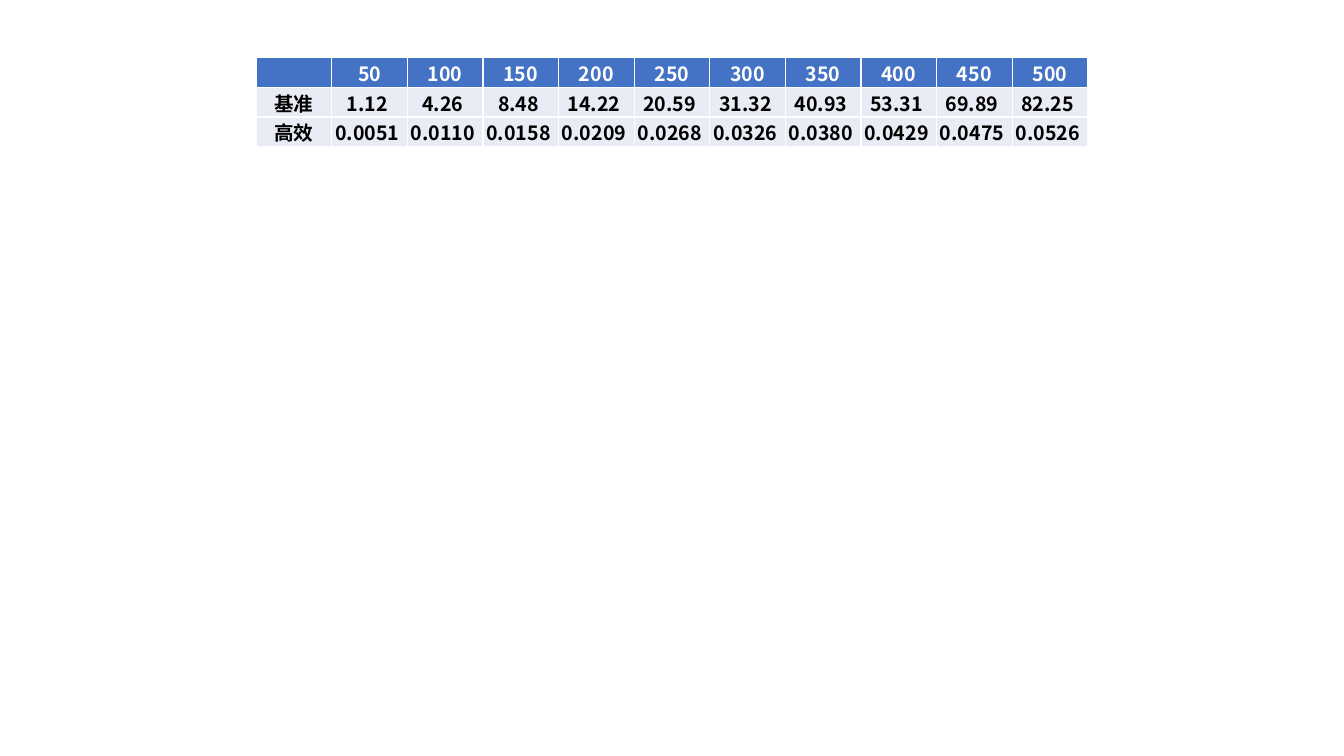
from lxml import etree
from pptx import Presentation
from pptx.dml.color import RGBColor
from pptx.enum import text
from pptx.oxml import ns
from pptx.util import Pt

COLORS = {"header": "4472C4", "body": "E9EBF5", "border": "FFFFFF",
          "header_text": "FFFFFF", "body_text": "000000"}
FONT = "Noto Sans CJK SC"
CELL_FORMAT = {"margin_left": Pt(0.75), "margin_right": Pt(0.75),
               "margin_top": Pt(0.75), "margin_bottom": 0,
               "vertical_anchor": text.MSO_ANCHOR.BOTTOM}
FONT_FORMAT = {"name": FONT, "size": Pt(14), "bold": True}
SIZES = range(50, 501, 50)
TIMES = {
    "基准": ["1.12", "4.26", "8.48", "14.22", "20.59",
           "31.32", "40.93", "53.31", "69.89", "82.25"],
    "高效": ["0.0051", "0.0110", "0.0158", "0.0209", "0.0268",
           "0.0326", "0.0380", "0.0429", "0.0475", "0.0526"],
}


def apply_format(target, values):
    for name, value in values.items():
        setattr(target, name, value)


def add_borders(cell):
    tcPr = cell._tc.get_or_add_tcPr()
    for side in ("L", "R", "T", "B"):
        ln = etree.SubElement(tcPr, ns.qn(f"a:ln{side}"), w=str(Pt(1)))
        fill = etree.SubElement(ln, ns.qn("a:solidFill"))
        etree.SubElement(fill, ns.qn("a:srgbClr"), val=COLORS["border"])


def fill_cell(cell, value, kind):
    apply_format(cell, CELL_FORMAT)
    add_borders(cell)
    cell.fill.solid()
    cell.fill.fore_color.rgb = RGBColor.from_string(COLORS[kind])
    p = cell.text_frame.paragraphs[0]
    p.alignment = text.PP_ALIGN.CENTER
    r = p.add_run()
    r.text = value
    apply_format(r.font, FONT_FORMAT)
    r.font.color.rgb = RGBColor.from_string(COLORS[f"{kind}_text"])
    etree.SubElement(r._r.get_or_add_rPr(), ns.qn("a:ea"), typeface=FONT)


def add_times_table(s, left, top, width, height):
    rows = [["", *map(str, SIZES)]]
    rows += [[label, *(f"{time} " for time in times)]
             for label, times in TIMES.items()]
    table = s.shapes.add_table(len(rows), len(rows[0]),
                               left, top, width, height).table
    for i, values in enumerate(rows):
        for j, value in enumerate(values):
            fill_cell(table.cell(i, j), value, "body" if i else "header")


def main():
    prs = Presentation()
    prs.slide_width, prs.slide_height = Pt(960), Pt(540)
    s = prs.slides.add_slide(prs.slide_layouts[6])
    add_times_table(s, Pt(183), Pt(41.25), Pt(594), Pt(52.5))
    prs.save("out.pptx")


if __name__ == "__main__":
    main()
